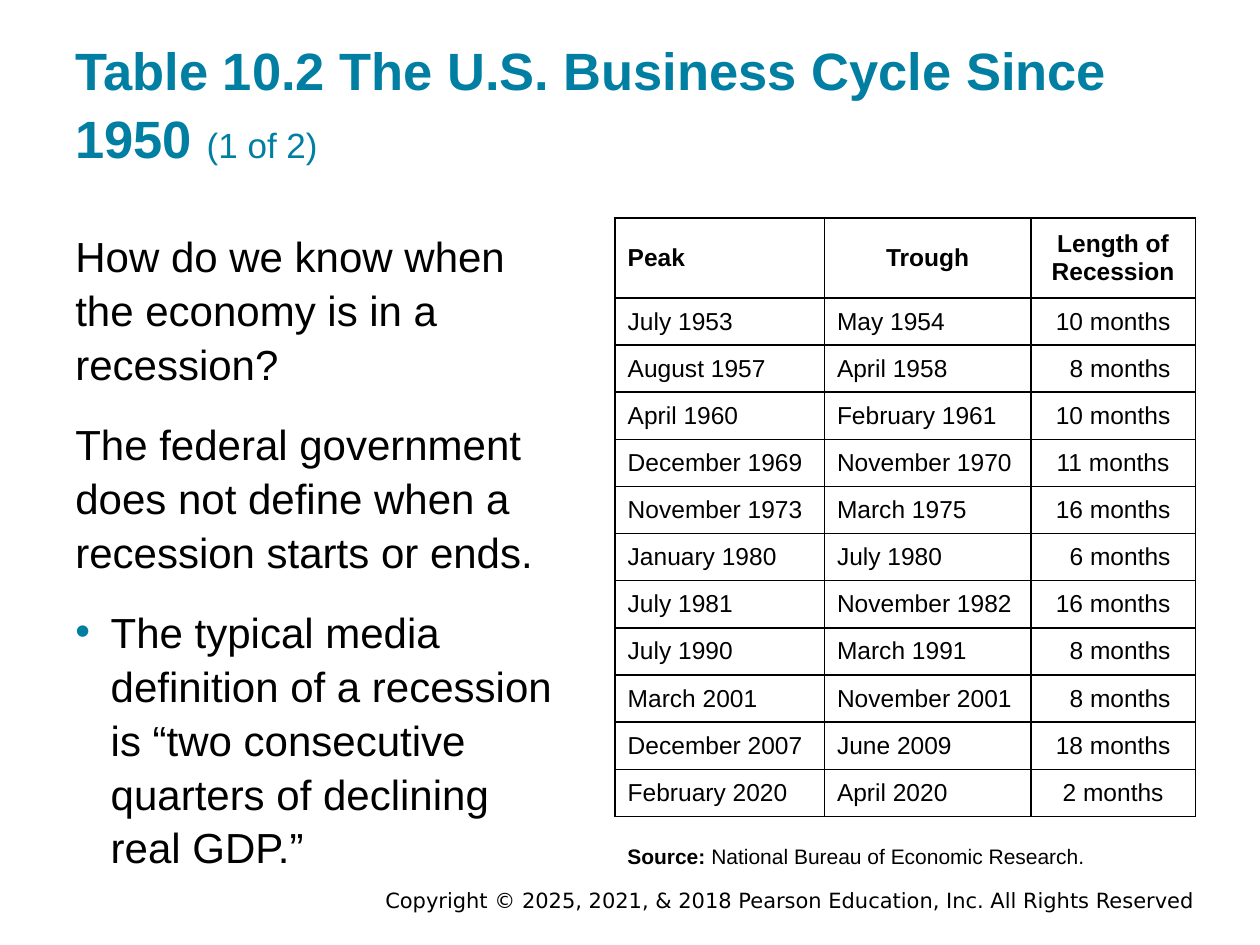
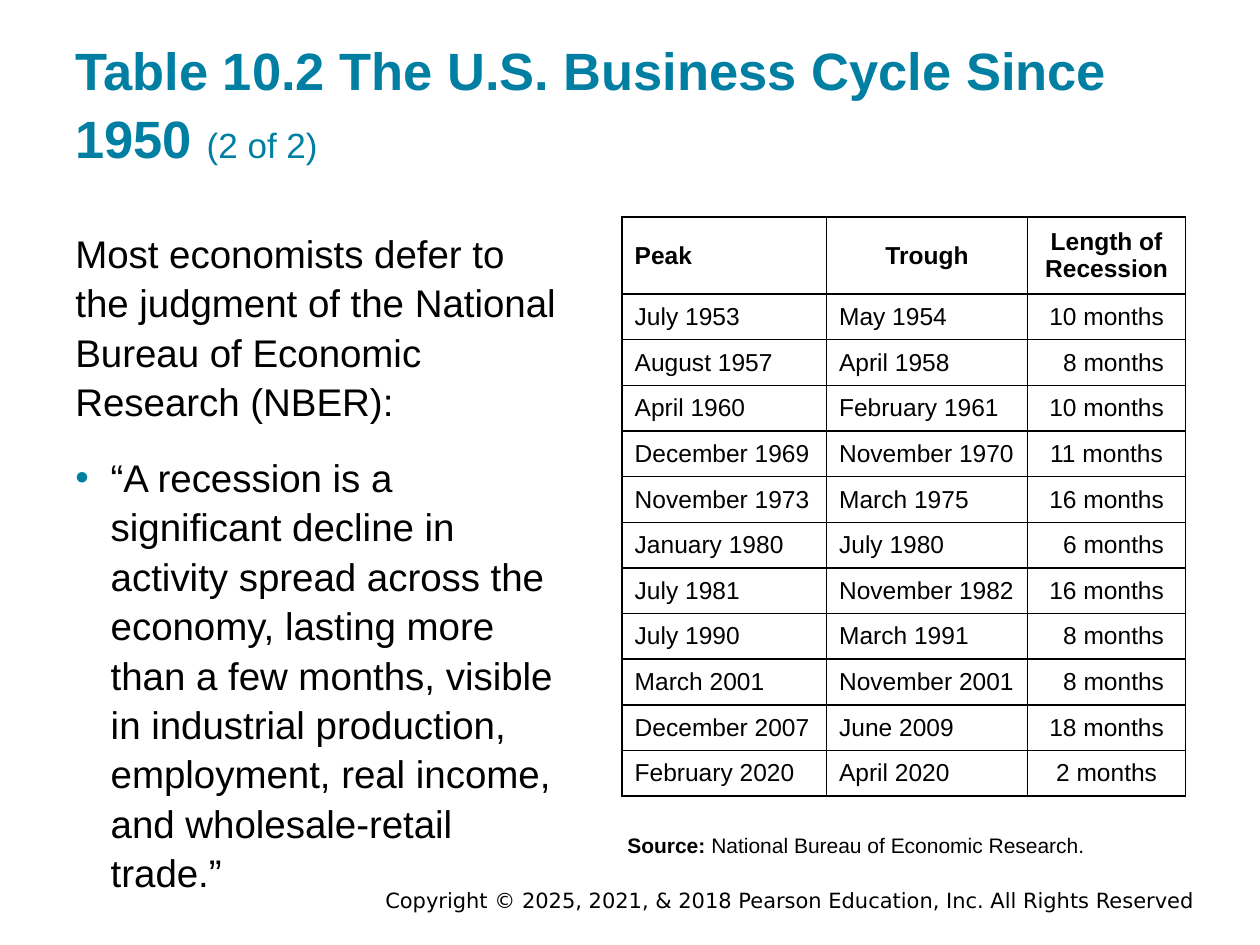
"""Builds two slides on the U.S. business cycle since 1950."""
from lxml.etree import SubElement
from pptx import Presentation
from pptx.dml.color import RGBColor
from pptx.enum.text import MSO_ANCHOR as Anchor, PP_ALIGN as Align
from pptx.oxml.ns import qn
from pptx.util import Pt

TEAL = RGBColor(0x00, 0x7F, 0xA3)
BLACK = RGBColor(0x00, 0x00, 0x00)
WHITE = RGBColor(0xFF, 0xFF, 0xFF)

HEADINGS = ("Peak", "Trough", "Length of Recession")
RECESSIONS = (
    ("July 1953", "May 1954", "10 months"),
    ("August 1957", "April 1958", "8 months"),
    ("April 1960", "February 1961", "10 months"),
    ("December 1969", "November 1970", "11 months"),
    ("November 1973", "March 1975", "16 months"),
    ("January 1980", "July 1980", "6 months"),
    ("July 1981", "November 1982", "16 months"),
    ("July 1990", "March 1991", "8 months"),
    ("March 2001", "November 2001", "8 months"),
    ("December 2007", "June 2009", "18 months"),
    ("February 2020", "April 2020", "2 months"),
)
INDENTED_LENGTHS = ("6 months", "8 months")


class Deck:
    """Holds the shared style and the slide being filled."""

    font = "Arial"
    footer_font = "DejaVu Sans"
    spacing = 1.07
    hanging = 20.2

    def __init__(self):
        self.show = Presentation()
        self.show.slide_width, self.show.slide_height = Pt(720), Pt(540)
        self.slide = None

    def new_slide(self, part):
        self.slide = self.show.slides.add_slide(self.show.slide_layouts[6])
        self.footer()
        self.title(part)

    def frame(self, left, top, width, height, anchor=Anchor.TOP, inset=7.2):
        frame = self.slide.shapes.add_textbox(
            Pt(left), Pt(top), Pt(width), Pt(height)).text_frame
        frame.word_wrap = True
        frame.vertical_anchor = anchor
        frame.margin_left = frame.margin_right = Pt(7.2)
        frame.margin_top = frame.margin_bottom = Pt(inset)
        return frame

    def style(self, paragraph, size=None, bold=None, color=BLACK, name=font):
        font = paragraph.font
        font.name = name
        font.color.rgb = color
        font.bold = bold
        if size:
            font.size = Pt(size)

    def add_runs(self, paragraph, *runs):
        for text, size, bold in runs:
            run = paragraph.add_run()
            run.text = text
            run.font.size, run.font.bold = Pt(size), bold

    def footer(self):
        notice = self.frame(126, 506.2, 563.8, 15.8, Anchor.MIDDLE, 3.6).paragraphs[0]
        notice.text = ("Copyright © 2025, 2021, & 2018 Pearson Education, Inc. "
                       "All Rights Reserved")
        notice.alignment = Align.RIGHT
        self.style(notice, 12, name=self.footer_font)

    def title(self, part):
        heading = self.frame(36, 17.3, 648, 86.4, Anchor.BOTTOM).paragraphs[0]
        heading.line_spacing = self.spacing
        self.add_runs(heading,
                      ("Table 10.2 The U.S. Business Cycle Since 1950 ", 30, True),
                      (f"({part} of 2)", 20, False))
        self.style(heading, color=TEAL)

    def bullet(self, paragraph):
        props = paragraph._p.get_or_add_pPr()
        props.set("marL", str(Pt(self.hanging)))
        props.set("indent", str(-Pt(self.hanging)))
        color = SubElement(props, qn("a:buClr"))
        SubElement(color, qn("a:srgbClr"), val=str(TEAL))
        SubElement(props, qn("a:buFont"), typeface=self.font)
        SubElement(props, qn("a:buChar"), char="•")

    def body(self, width, height, size, statements, quote):
        frame = self.frame(36, 122.4, width, height)
        for index, text in enumerate((*statements, quote)):
            paragraph = frame.paragraphs[0] if index == 0 else frame.add_paragraph()
            paragraph.text = text
            paragraph.line_spacing = self.spacing
            if index:
                paragraph.space_before = Pt(15)
            if text == quote:
                self.bullet(paragraph)
            self.style(paragraph, size)

    def borders(self, cell):
        props = cell._tc.get_or_add_tcPr()
        for side in ("lnL", "lnR", "lnT", "lnB"):
            line = SubElement(props, qn(f"a:{side}"), w=str(Pt(1)))
            fill = SubElement(line, qn("a:solidFill"))
            SubElement(fill, qn("a:srgbClr"), val=str(BLACK))

    def cell(self, cell, text, is_heading, centred):
        self.borders(cell)
        cell.fill.solid()
        cell.fill.fore_color.rgb = WHITE
        cell.vertical_anchor = Anchor.MIDDLE
        paragraph = cell.text_frame.paragraphs[0]
        paragraph.text = text
        paragraph.alignment = Align.CENTER if centred else Align.LEFT
        if text in INDENTED_LENGTHS:
            paragraph._p.get_or_add_pPr().set("marL", str(Pt(8)))
        self.style(paragraph, 14, is_heading)

    def recession_table(self, left, top, widths, heading_height, row_height):
        rows = (HEADINGS, *RECESSIONS)
        height = heading_height + row_height * len(RECESSIONS)
        table = self.slide.shapes.add_table(
            len(rows), len(HEADINGS), Pt(left), Pt(top),
            Pt(sum(widths)), Pt(height)).table
        table.first_row = table.horz_banding = False
        for column, width in zip(table.columns, widths):
            column.width = Pt(width)
        for r, row in enumerate(rows):
            is_heading = r == 0
            table.rows[r].height = Pt(heading_height if is_heading else row_height)
            for c, text in enumerate(row):
                centred = c == 2 or (is_heading and c == 1)
                self.cell(table.cell(r, c), text, is_heading, centred)

    def source(self, top, height):
        credit = self.frame(351.4, top, 290.9, height).paragraphs[0]
        credit.line_spacing = self.spacing
        self.add_runs(credit, ("Source: ", 12, True),
                      ("National Bureau of Economic Research.", 12, False))
        self.style(credit, 12)


def main():
    deck = Deck()

    deck.new_slide(1)
    deck.body(292.3, 374.4, 24, (
        "How do we know when the economy is in a recession?",
        "The federal government does not define when a recession starts or ends.",
    ), "The typical media definition of a recession is “two consecutive quarters "
       "of declining real GDP.”")
    deck.recession_table(351.5, 124.7, (119.6, 118, 94), 45.6, 26.95)
    deck.source(473.8, 23)

    deck.new_slide(2)
    deck.body(295.2, 368.6, 22, (
        "Most economists defer to the judgment of the National Bureau of Economic "
        "Research (NBER):",
    ), "“A recession is a significant decline in activity spread across the economy, "
       "lasting more than a few months, visible in industrial production, employment, "
       "real income, and wholesale-retail trade.”")
    deck.recession_table(355.5, 124, (116.8, 115, 90.2), 44.1, 26.1)
    deck.source(467.3, 27.4)

    deck.show.save("out.pptx")


if __name__ == "__main__":
    main()
